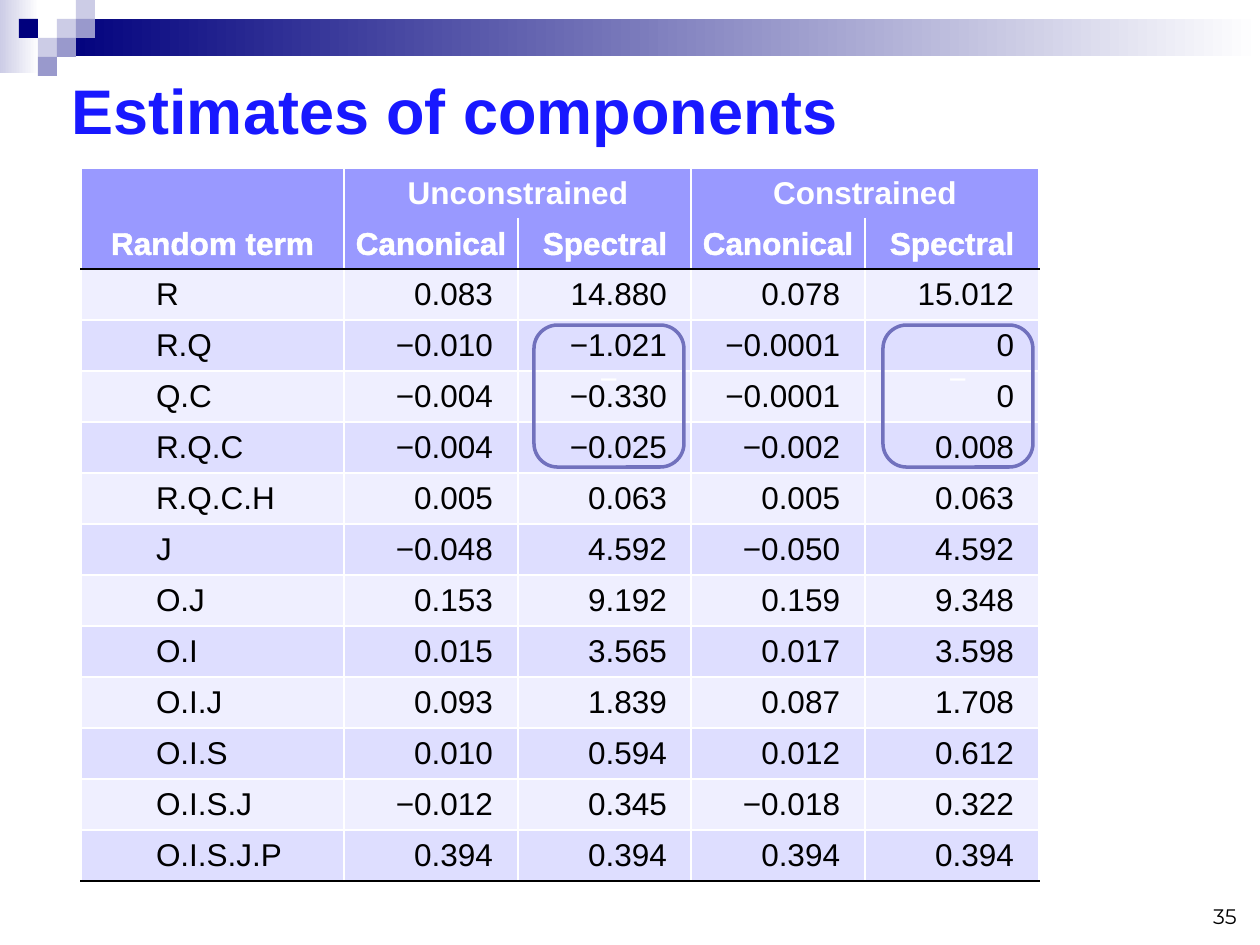
from lxml.etree import SubElement
from pptx import Presentation
from pptx.dml.color import RGBColor
from pptx.enum.shapes import MSO_SHAPE
from pptx.enum.text import MSO_ANCHOR, MSO_AUTO_SIZE, PP_ALIGN
from pptx.oxml.ns import qn
from pptx.util import Emu, Pt

SCALE = 914400 / 126
WHITE, BLACK, HEADER = "FFFFFF", "000000", "9999FF"
BANDS = ["EFEFFF", "DEDEFF"]
TERM_INDENT = 74
HEAD_INSETS = (1, 1, 1, 0)
NUMBER_INSETS = (13, 6, 25, 6)
SQUARE = 19
# column, row, colour on the grid of corner squares
SQUARES = [(3, 1, "CCCCE6"), (4, 0, "CCCCE6"), (4, 1, "9999CC"),
           (2, 2, "CCCCE6"), (1, 1, "00007D"), (3, 2, "9999CC"),
           (2, 3, "9999CC")]
ESTIMATES = [
    ("R", "0.083", "14.880", "0.078", "15.012"),
    ("R.Q", "−0.010", "−1.021", "−0.0001", "0"),
    ("Q.C", "−0.004", "−0.330", "−0.0001", "0"),
    ("R.Q.C", "−0.004", "−0.025", "−0.002", "0.008"),
    ("R.Q.C.H", "0.005", "0.063", "0.005", "0.063"),
    ("J", "−0.048", "4.592", "−0.050", "4.592"),
    ("O.J", "0.153", "9.192", "0.159", "9.348"),
    ("O.I", "0.015", "3.565", "0.017", "3.598"),
    ("O.I.J", "0.093", "1.839", "0.087", "1.708"),
    ("O.I.S", "0.010", "0.594", "0.012", "0.612"),
    ("O.I.S.J", "−0.012", "0.345", "−0.018", "0.322"),
    ("O.I.S.J.P", "0.394", "0.394", "0.394", "0.394"),
]


def px(n):
    return Emu(round(n * SCALE))


def rgb(color):
    return RGBColor.from_string(color)


def set_attrs(obj, values):
    for name, value in values.items():
        setattr(obj, name, value)


def set_insets(obj, insets):
    sides = ("left", "top", "right", "bottom")
    set_attrs(obj, {f"margin_{side}": px(n) for side, n in zip(sides, insets)})


def write(tf, text, color, size=18, align=PP_ALIGN.LEFT, font="Arial", bold=False):
    p = tf.paragraphs[0]
    p.alignment = align
    r = p.add_run()
    r.text = text
    set_attrs(r.font, {"size": Pt(size), "name": font, "bold": bold})
    r.font.color.rgb = rgb(color)
    return p, r


def add_box(s, x, y, w, h, fill=None, fade=None, line=None, kind=MSO_SHAPE.RECTANGLE):
    sp = s.shapes.add_shape(kind, px(x), px(y), px(w), px(h))
    sp.shadow.inherit = False
    if fade:
        sp.fill.gradient()
        sp.fill.gradient_angle = 0
        for stop, color, place in zip(sp.fill.gradient_stops, fade, (0, 1)):
            stop.color.rgb = rgb(color)
            stop.position = place
    elif fill:
        sp.fill.solid()
        sp.fill.fore_color.rgb = rgb(fill)
    else:
        sp.fill.background()
    if line:
        sp.line.color.rgb = rgb(line)
        sp.line.width = Pt(2)
    else:
        sp.line.fill.background()
    return sp


def add_marker(s, x):
    sp = add_box(s, x, 325, 150, 142, line="7171BD", kind=MSO_SHAPE.ROUNDED_RECTANGLE)
    tf = sp.text_frame
    tf.vertical_anchor = MSO_ANCHOR.MIDDLE
    set_insets(tf, (13, 6, 13, 42))
    write(tf, "−", WHITE, align=PP_ALIGN.CENTER)


def set_ln(parent, tag, color, width=1):
    ln = SubElement(parent, qn(tag), w=str(Pt(width)))
    if color:
        fill = SubElement(ln, qn("a:solidFill"))
        SubElement(fill, qn("a:srgbClr"), val=color)
    else:
        SubElement(ln, qn("a:noFill"))
    return ln


def format_cell(cell, fill, top, bottom, insets):
    # Borders come before the fill in the cell properties
    tc_pr = cell._tc.get_or_add_tcPr()
    for side, color in zip("LRTB", (WHITE, WHITE, top, bottom)):
        set_ln(tc_pr, f"a:ln{side}", color)
    cell.fill.solid()
    cell.fill.fore_color.rgb = rgb(fill)
    cell.vertical_anchor = MSO_ANCHOR.MIDDLE
    set_insets(cell, insets)


def fill_head(tbl, i, labels):
    top, bottom = [(WHITE, None), (None, BLACK)][i]
    for j, label in enumerate(labels):
        cell = tbl.cell(i, j)
        format_cell(cell, HEADER, top, bottom, HEAD_INSETS)
        if label:
            _, r = write(cell.text_frame, label, WHITE, align=PP_ALIGN.CENTER, bold=True)
            if i == 1:
                r_pr = r.font._element
                r_pr.insert(0, set_ln(r_pr, "a:ln", WHITE, 0.75))


def add_estimates(s, x, widths, group, labels, rows):
    tbl = s.shapes.add_table(len(rows) + 2, len(widths), px(x), px(168),
                             px(sum(widths)), px(713)).table
    set_attrs(tbl, {"first_row": False, "horz_banding": False})
    for col, width in zip(tbl.columns, widths):
        col.width = px(width)
    for i, row in enumerate(tbl.rows):
        row.height = px(51 if i else 50)

    # Header: group name over the last two columns
    n = len(widths)
    fill_head(tbl, 0, [""] * (n - 2) + [group, ""])
    fill_head(tbl, 1, labels)
    tbl.cell(0, n - 2).merge(tbl.cell(0, n - 1))

    # Body: indented terms, right-aligned numbers
    for i, values in enumerate(rows):
        top = WHITE if i else BLACK
        bottom = BLACK if i == len(rows) - 1 else WHITE
        for j, value in enumerate(values):
            cell = tbl.cell(i + 2, j)
            is_term = j < n - 2
            format_cell(cell, BANDS[i % 2], top, bottom,
                        HEAD_INSETS if is_term else NUMBER_INSETS)
            p, _ = write(cell.text_frame, value, BLACK,
                         align=PP_ALIGN.LEFT if is_term else PP_ALIGN.RIGHT)
            if is_term:
                p._p.get_or_add_pPr().set("marL", str(px(TERM_INDENT)))


def add_banner(s):
    add_box(s, 0, 0, 39, 73, fade=("CCCCE6", WHITE))
    add_box(s, 57, 19, 1203, 37, fade=("00007D", WHITE))
    for col, row, color in SQUARES:
        add_box(s, col * SQUARE, row * SQUARE, SQUARE, SQUARE, fill=color)


def add_title(s, text):
    sp = s.shapes.title
    set_attrs(sp, {"left": px(59), "top": px(59), "width": px(1191), "height": px(100)})
    set_attrs(sp.text_frame, {"auto_size": MSO_AUTO_SIZE.NONE, "word_wrap": True,
                              "vertical_anchor": MSO_ANCHOR.MIDDLE})
    write(sp.text_frame, text, "1818FF", size=36, bold=True)


def add_page_number(s, text):
    tf = s.shapes.add_textbox(px(955), px(872), px(294), px(63)).text_frame
    set_attrs(tf, {"word_wrap": True, "vertical_anchor": MSO_ANCHOR.BOTTOM})
    write(tf, text, BLACK, size=12, align=PP_ALIGN.RIGHT, font="Montserrat")


def main():
    prs = Presentation()
    set_attrs(prs, {"slide_width": px(1260), "slide_height": px(945)})
    s = prs.slides.add_slide(prs.slide_layouts[5])

    add_banner(s)
    add_title(s, "Estimates of components")

    # Two tables side by side
    methods = ["Canonical", "Spectral"]
    add_estimates(s, 81, [263, 174, 174], "Unconstrained", ["Random term"] + methods,
                  [row[:3] for row in ESTIMATES])
    add_page_number(s, "35")
    add_estimates(s, 691, [174, 174], "Constrained", methods,
                  [row[3:] for row in ESTIMATES])

    # Frames around the estimates to compare
    for x in (883, 534):
        add_marker(s, x)

    prs.save("out.pptx")


if __name__ == "__main__":
    main()
